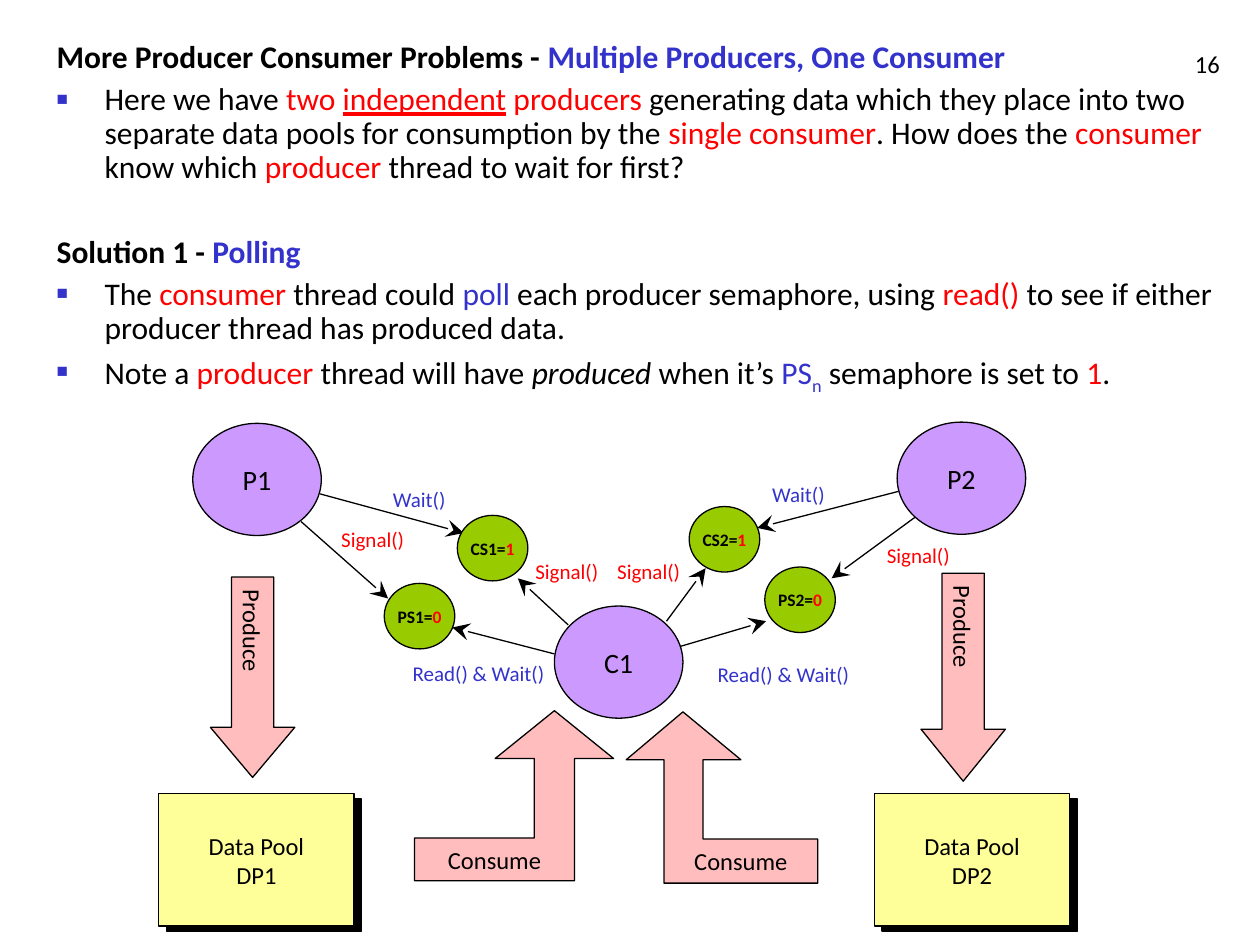
from lxml.etree import SubElement
from pptx import Presentation
from pptx.dml.color import RGBColor
from pptx.enum.shapes import MSO_CONNECTOR, MSO_SHAPE as Geo
from pptx.enum.text import MSO_ANCHOR as Anchor, MSO_AUTO_SIZE as Fit, PP_ALIGN as Align
from pptx.oxml.ns import qn
from pptx.util import Inches, Pt

THEME = {
    "font": "Calibri",
    "black": "000000", "red": "FF0000", "blue": "3333CC",
    "thread": "CC99FF", "semaphore": "99CC00", "pool": "FFFF99", "flow": "FFBDBD",
    "body": 18, "node": 16, "flow_text": 14, "label": 12, "small": 10,
    "line": 0.75,
}

BOLD = {"bold": True}
BODY = [
    (False, 0, [("More Producer Consumer Problems - ", "black", BOLD),
                ("Multiple Producers, One Consumer", "blue", BOLD)]),
    (True, 4.5, [("Here we have ", "black"), ("two ", "red"),
                 ("independent", "red", {"underline": True}), (" producers ", "red"),
                 ("generating data which they place into two separate data pools "
                  "for consumption by the ", "black"),
                 ("single consumer", "red"), (". How does the ", "black"),
                 ("consumer", "red"), (" know which ", "black"), ("producer", "red"),
                 (" thread to wait for first?", "black")]),
    (False, 28.8, [("Solution 1 - ", "black", BOLD), ("Polling", "blue", BOLD)]),
    (True, 4.5, [("The ", "black"), ("consumer", "red"), (" thread could ", "black"),
                 ("poll", "blue"), (" each producer semaphore, using ", "black"),
                 ("read()", "red"),
                 (" to see if either producer thread has produced data.", "black")]),
    (True, 4.5, [("Note a ", "black"), ("producer", "red"), (" thread will have ", "black"),
                 ("produced", "black", {"italic": True}), (" when it’s ", "black"),
                 ("PS", "blue"), ("n", "blue", {"subscript": True}),
                 (" semaphore is set to ", "black"), ("1", "red"), (".", "black")]),
]

ARROWS = [
    ((2.54, 3.92), (3.68, 4.23)), ((2.39, 4.14), (3.08, 4.75)),
    ((4.4, 5.19), (3.59, 4.98)), ((4.51, 4.96), (4.11, 4.59)),
    ((7.13, 3.9), (6.01, 4.19)), ((5.29, 4.93), (5.6, 4.51)),
    ((5.4, 5.13), (6.08, 4.93)), ((7.27, 4.1), (6.6, 4.59)),
]
THREADS = [("C1", 4.4, 4.81), ("P1", 1.53, 3.36), ("P2", 7.12, 3.35)]
SEMAPHORES = [("PS1=", "0", 3.05, 4.63), ("CS1=", "1", 3.63, 4.09),
              ("PS2=", "0", 6.07, 4.5), ("CS2=", "1", 5.47, 4.02)]
POOLS = [("Data Pool\nDP1", 1.26), ("Data Pool\nDP2", 6.94)]
PRODUCE = [((1.67, 4.58, 0.67, 1.59), 0.593), ((7.31, 4.55, 0.67, 1.65), 0.616)]
CONSUME = [
    ([(4.4, 5.64), (3.93, 6.02), (4.24, 6.02), (4.24, 6.65), (3.29, 6.65),
      (3.29, 6.99), (4.56, 6.99), (4.56, 6.02), (4.87, 6.02)], (0, 1.01, 0.31, 0)),
    ([(5.42, 5.65), (5.88, 6.03), (5.58, 6.03), (5.58, 6.66), (6.49, 6.66),
      (6.49, 7.01), (5.27, 7.01), (5.27, 6.03), (4.97, 6.03)], (0.3, 1.01, 0, 0)),
]
LABELS = [
    ("Signal()", "red", 2.61, 4.13, 1.13), ("Wait()", "blue", 3.02, 3.81, 1.06),
    ("Signal()", "red", 4.15, 4.38, 0.87), ("Wait()", "blue", 6.03, 3.77, 1.06),
    ("Signal()", "red", 4.8, 4.38, 1.13), ("Signal()", "red", 6.94, 4.26, 1.13),
    ("Read() & Wait()", "blue", 3.06, 5.19, 1.36),
    ("Read() & Wait()", "blue", 5.48, 5.2, 1.36),
]
PAGE = ("16", "black", 7.7, 0.17, 2.08)
INSETS = (0.1, 0.05, 0.1, 0.05)


def rgb(name):
    return RGBColor.from_string(THEME[name])


def assign(obj, values):
    for name, value in values.items():
        setattr(obj, name, value)


def add_runs(p, runs, size):
    for text, color, *extra in runs:
        style = dict(extra[0]) if extra else {}
        subscript = style.pop("subscript", False)
        for i, line in enumerate(text.split("\n")):
            if i:
                p.add_line_break()
            r = p.add_run()
            r.text = line
            assign(r.font, {"name": THEME["font"], "size": Pt(THEME[size]), **style})
            r.font.color.rgb = rgb(color)
            if subscript:
                r.font._element.set("baseline", "-25000")


def set_frame(tf, anchor, wrap=True, insets=INSETS, fit=Fit.NONE):
    left, top, right, bottom = map(Inches, insets)
    assign(tf, {"vertical_anchor": anchor, "word_wrap": wrap, "auto_size": fit,
                "margin_left": left, "margin_top": top,
                "margin_right": right, "margin_bottom": bottom})


def paint(s, fill):
    s.shadow.inherit = False
    s.fill.solid()
    s.fill.fore_color.rgb = rgb(fill)
    s.line.color.rgb = rgb("black")
    s.line.width = Pt(THEME["line"])
    return s


def add_box(shapes, geo, box, fill):
    return paint(shapes.add_shape(geo, *map(Inches, box)), fill)


def caption(s, runs, size, insets=INSETS):
    set_frame(s.text_frame, Anchor.MIDDLE, False, insets)
    p = s.text_frame.paragraphs[0]
    p.alignment = Align.CENTER
    add_runs(p, runs, size)


def add_label(shapes, label, size, height, align, anchor, fit=Fit.NONE):
    text, color, x, y, w = label
    tf = shapes.add_textbox(*map(Inches, (x, y, w, height))).text_frame
    set_frame(tf, anchor, fit=fit)
    tf.paragraphs[0].alignment = align
    add_runs(tf.paragraphs[0], [(text, color)], size)


def add_arrow(shapes, start, end):
    c = shapes.add_connector(MSO_CONNECTOR.STRAIGHT, *map(Inches, start + end))
    c.line.color.rgb = rgb("black")
    c.line.width = Pt(THEME["line"])
    SubElement(c.line._get_or_add_ln(), qn("a:tailEnd"), type="stealth", w="lg", len="lg")
    SubElement(c._element.spPr, qn("a:effectLst"))


def fill_body(s):
    assign(s, dict(zip(("left", "top", "width", "height"),
                       map(Inches, (0.35, 0.28, 9.5, 3.07)))))
    tf = s.text_frame
    set_frame(tf, Anchor.TOP)
    for i, (bulleted, before, runs) in enumerate(BODY):
        p = tf.add_paragraph() if i else tf.paragraphs[0]
        pPr = p._p.get_or_add_pPr()
        pPr.set("marL", str(Inches(0.38)))
        pPr.set("indent", str(-Inches(0.38)))
        if bulleted:
            color = SubElement(pPr, qn("a:buClr"))
            SubElement(color, qn("a:srgbClr"), val=THEME["blue"])
            SubElement(pPr, qn("a:buSzPct"), val="60000")
            SubElement(pPr, qn("a:buChar"), char="■")
        else:
            SubElement(pPr, qn("a:buNone"))
        assign(p, {"line_spacing": 0.9, "space_before": Pt(before), "alignment": Align.LEFT})
        add_runs(p, runs, "body")


def main():
    prs = Presentation()
    prs.slide_width, prs.slide_height = Inches(10), Inches(7.5)
    slide = prs.slides.add_slide(prs.slide_layouts[1])
    shapes = slide.shapes
    title = shapes.title._element
    title.getparent().remove(title)
    fill_body(slide.placeholders[1])
    add_label(shapes, PAGE, "flow_text", 0.5, Align.RIGHT, Anchor.BOTTOM)

    for start, end in ARROWS:
        add_arrow(shapes, start, end)
    for text, x in POOLS:
        group = shapes.add_group_shape().shapes
        add_box(group, Geo.RECTANGLE, (x + 0.06, 6.34, 1.55, 1.05), "black")
        pool = add_box(group, Geo.RECTANGLE, (x, 6.3, 1.55, 1.05), "pool")
        caption(pool, [(text, "black")], "flow_text")
    for text, x, y in THREADS:
        s = add_box(shapes, Geo.OVAL, (x, y, 1.02, 0.89), "thread")
        caption(s, [(text, "black")], "node")
    for box, head in PRODUCE:
        s = add_box(shapes, Geo.DOWN_ARROW, box, "flow")
        s.adjustments[0], s.adjustments[1] = 0.5, head
        caption(s, [("Produce", "black")], "flow_text", (0.05, 0.1, 0.05, 0.1))
        s.text_frame._txBody.bodyPr.set("vert", "eaVert")
    for points, insets in CONSUME:
        start, *rest = [tuple(map(Inches, point)) for point in points]
        outline = shapes.build_freeform(*start)
        outline.add_line_segments(rest, close=True)
        s = paint(outline.convert_to_shape(), "flow")
        caption(s, [("Consume", "black")], "flow_text", insets)
    for label in LABELS:
        align = Align.RIGHT if label[0].startswith("Read") else Align.LEFT
        add_label(shapes, label, "label", 0.3, align, Anchor.TOP, Fit.SHAPE_TO_FIT_TEXT)
    for name, value, x, y in SEMAPHORES:
        s = add_box(shapes, Geo.OVAL, (x, y, 0.56, 0.52), "semaphore")
        caption(s, [(name, "black", BOLD), (value, "red", BOLD)], "small")
    prs.save("out.pptx")


if __name__ == "__main__":
    main()
